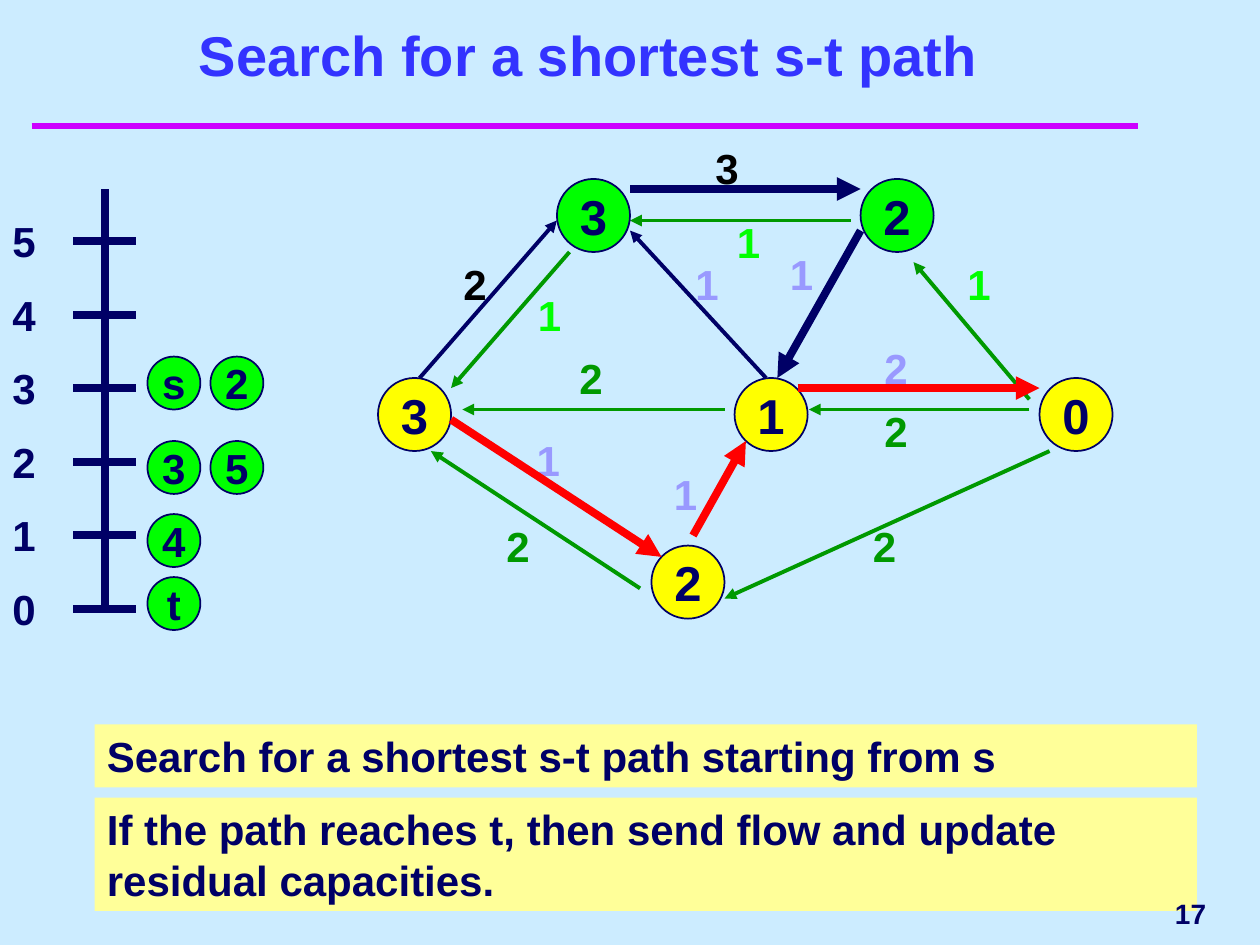
from typing import NamedTuple

from lxml import etree
from pptx import Presentation
from pptx.dml.color import RGBColor
from pptx.enum.shapes import MSO_CONNECTOR, MSO_SHAPE
from pptx.enum.text import MSO_ANCHOR, MSO_AUTO_SIZE, PP_ALIGN
from pptx.oxml.ns import qn
from pptx.util import Inches, Pt

STRAIGHT = MSO_CONNECTOR.STRAIGHT
OVAL, RECTANGLE = MSO_SHAPE.OVAL, MSO_SHAPE.RECTANGLE
TOP, MIDDLE, BOTTOM = MSO_ANCHOR.TOP, MSO_ANCHOR.MIDDLE, MSO_ANCHOR.BOTTOM
LEFT, CENTER, RIGHT = PP_ALIGN.LEFT, PP_ALIGN.CENTER, PP_ALIGN.RIGHT

SKY = RGBColor(0xCC, 0xEC, 0xFF)
NAVY = RGBColor(0x00, 0x00, 0x66)
BLUE = RGBColor(0x33, 0x33, 0xFF)
MAGENTA = RGBColor(0xCC, 0x00, 0xFF)
LILAC = RGBColor(0x99, 0x99, 0xFF)
LIME = RGBColor(0x00, 0xFF, 0x00)
GREEN = RGBColor(0x00, 0x99, 0x00)
YELLOW = RGBColor(0xFF, 0xFF, 0x00)
CREAM = RGBColor(0xFF, 0xFF, 0x99)
RED = RGBColor(0xFF, 0x00, 0x00)
BLACK = RGBColor(0x00, 0x00, 0x00)

THIN, THICK = 2.25, 4.5
NODE_SIZE, LIST_NODE_SIZE = 0.58, 0.42
AXIS_X, AXIS_BOTTOM, LEVEL_STEP = 0.83, 4.83, 0.583


class Label(NamedTuple):
    text: str
    left: float
    top: float
    color: RGBColor


class Node(NamedTuple):
    text: str
    left: float
    top: float
    fill: RGBColor = LIME


class Line(NamedTuple):
    start: tuple[float, float]
    end: tuple[float, float]
    color: RGBColor = NAVY
    width: float = THICK


class Note(NamedTuple):
    text: str
    top: float
    height: float


CAPACITIES = [
    Label("3", 5.58, 1.08, BLACK),
    Label("1", 5.75, 1.67, LIME),
    Label("2", 3.58, 2, BLACK),
    Label("1", 4.17, 2.25, LIME),
    Label("1", 5.42, 2, LILAC),
    Label("1", 6.17, 1.92, LILAC),
    Label("1", 7.58, 2, LIME),
    Label("2", 4.5, 2.75, GREEN),
    Label("2", 6.92, 2.67, LILAC),
    Label("2", 6.92, 3.17, GREEN),
    Label("1", 4.16, 3.4, LILAC),
    Label("1", 5.25, 3.67, LILAC),
    Label("2", 3.92, 4.08, GREEN),
    Label("2", 6.83, 4.08, GREEN),
]

RESIDUAL_ARCS = [
    Line((5.75, 3.25), (3.67, 3.25), GREEN, THIN),
    Line((8.17, 3.25), (6.42, 3.25), GREEN, THIN),
    Line((5.08, 4.67), (3.42, 3.58), GREEN, THIN),
    Line((8.33, 3.58), (5.75, 4.75), GREEN, THIN),
    Line((4.52, 2), (3.58, 3.08), GREEN, THIN),
    Line((6.75, 1.75), (5, 1.75), GREEN, THIN),
    Line((8.17, 3.17), (7.25, 2.08), GREEN, THIN),
    Line((6.08, 3), (5, 1.83), NAVY, THIN),
    Line((3.33, 3), (4.42, 1.75), NAVY, THIN),
]

NETWORK_NODES = [
    Node("3", 4.42, 1.42),
    Node("2", 6.83, 1.42),
    Node("3", 3, 3, YELLOW),
    Node("1", 5.83, 3, YELLOW),
    Node("0", 8.25, 3, YELLOW),
    Node("2", 5.17, 4.33, YELLOW),
]

ADMISSIBLE_ARCS = [
    Line((5, 1.5), (6.83, 1.5)),
    Line((6.83, 1.83), (6.17, 3)),
    Line((3.58, 3.33), (5.25, 4.42), RED),
    Line((5.5, 4.25), (5.92, 3.5), RED),
    Line((6.33, 3.08), (8.25, 3.08), RED),
]

LIST_NODES = [
    Node("s", 1.17, 2.83),
    Node("2", 1.67, 2.83),
    Node("3", 1.17, 3.5),
    Node("5", 1.67, 3.5),
    Node("4", 1.17, 4.08),
    Node("t", 1.17, 4.58),
]

NOTES = [
    Note("Search for a shortest s-t path starting from s", 5.75, 0.5),
    Note("If the path reaches t, then send flow and update residual capacities.", 6.33, 0.9),
]


def write(shape, text: str, size: float = 24, color: RGBColor = NAVY,
          align=LEFT, anchor=TOP, wrap: bool = True) -> None:
    frame = shape.text_frame
    frame_format = {"auto_size": MSO_AUTO_SIZE.NONE, "word_wrap": wrap,
                    "vertical_anchor": anchor}
    for name, value in frame_format.items():
        setattr(frame, name, value)
    frame.text = text
    para = frame.paragraphs[0]
    para.alignment = align
    font = para.runs[0].font
    for name, value in {"name": "Arial", "size": Pt(size), "bold": True}.items():
        setattr(font, name, value)
    font.color.rgb = color


def add_text(page, text: str, left: float, top: float, width: float,
             height: float = 0.5, **text_format) -> None:
    box = page.shapes.add_textbox(*map(Inches, (left, top, width, height)))
    write(box, text, **text_format)


def add_line(page, line: Line, arrow: bool = False) -> None:
    ends = map(Inches, (*line.start, *line.end))
    connector = page.shapes.add_connector(STRAIGHT, *ends)
    connector.line.color.rgb = line.color
    connector.line.width = Pt(line.width)
    if arrow:
        outline = connector.line._get_or_add_ln()
        etree.SubElement(outline, qn("a:tailEnd"), type="triangle")
    etree.SubElement(connector._element.spPr, qn("a:effectLst"))


def add_node(page, node: Node, diameter: float, text_size: float) -> None:
    circle = page.shapes.add_shape(
        OVAL, *map(Inches, (node.left, node.top, diameter, diameter)))
    circle.shadow.inherit = False
    circle.fill.solid()
    circle.fill.fore_color.rgb = node.fill
    circle.line.color.rgb = NAVY
    circle.line.width = Pt(1)
    write(circle, node.text, text_size, align=CENTER, anchor=MIDDLE, wrap=False)


def add_note(page, note: Note) -> None:
    panel = page.shapes.add_shape(
        RECTANGLE, *map(Inches, (0.75, note.top, 8.75, note.height)))
    panel.shadow.inherit = False
    panel.fill.solid()
    panel.fill.fore_color.rgb = CREAM
    panel.line.fill.background()
    write(panel, note.text)


def add_distance_axis(page) -> None:
    add_line(page, Line((AXIS_X, 1.5), (AXIS_X, AXIS_BOTTOM)))
    for level in range(6):
        y = AXIS_BOTTOM - level * LEVEL_STEP
        add_line(page, Line((AXIS_X - 0.25, y), (AXIS_X + 0.25, y)))
        add_text(page, str(level), 0, y - 0.25, 0.42)


def main() -> None:
    deck = Presentation()
    deck.slide_width, deck.slide_height = Inches(10), Inches(7.5)
    page = deck.slides.add_slide(deck.slide_layouts[5])
    page.background.fill.solid()
    page.background.fill.fore_color.rgb = SKY

    title = page.shapes.title
    place = {"left": 0.42, "top": 0.33, "width": 8.5, "height": 0.42}
    for name, value in place.items():
        setattr(title, name, Inches(value))
    write(title, "Search for a shortest s-t path", 32, BLUE, CENTER, BOTTOM)
    add_line(page, Line((0.25, 1), (9.03, 1), MAGENTA, 4))

    add_distance_axis(page)
    for node in LIST_NODES:
        add_node(page, node, LIST_NODE_SIZE, 24)

    for label in CAPACITIES:
        add_text(page, label.text, label.left, label.top, 0.59, color=label.color)
    for arc in RESIDUAL_ARCS:
        add_line(page, arc, arrow=True)
    for node in NETWORK_NODES:
        add_node(page, node, NODE_SIZE, 28)
    for arc in ADMISSIBLE_ARCS:
        add_line(page, arc, arrow=True)

    for note in NOTES:
        add_note(page, note)
    add_text(page, "17", 7.75, 7, 1.92, size=16, align=RIGHT, anchor=MIDDLE)
    deck.save("out.pptx")


if __name__ == "__main__":
    main()
